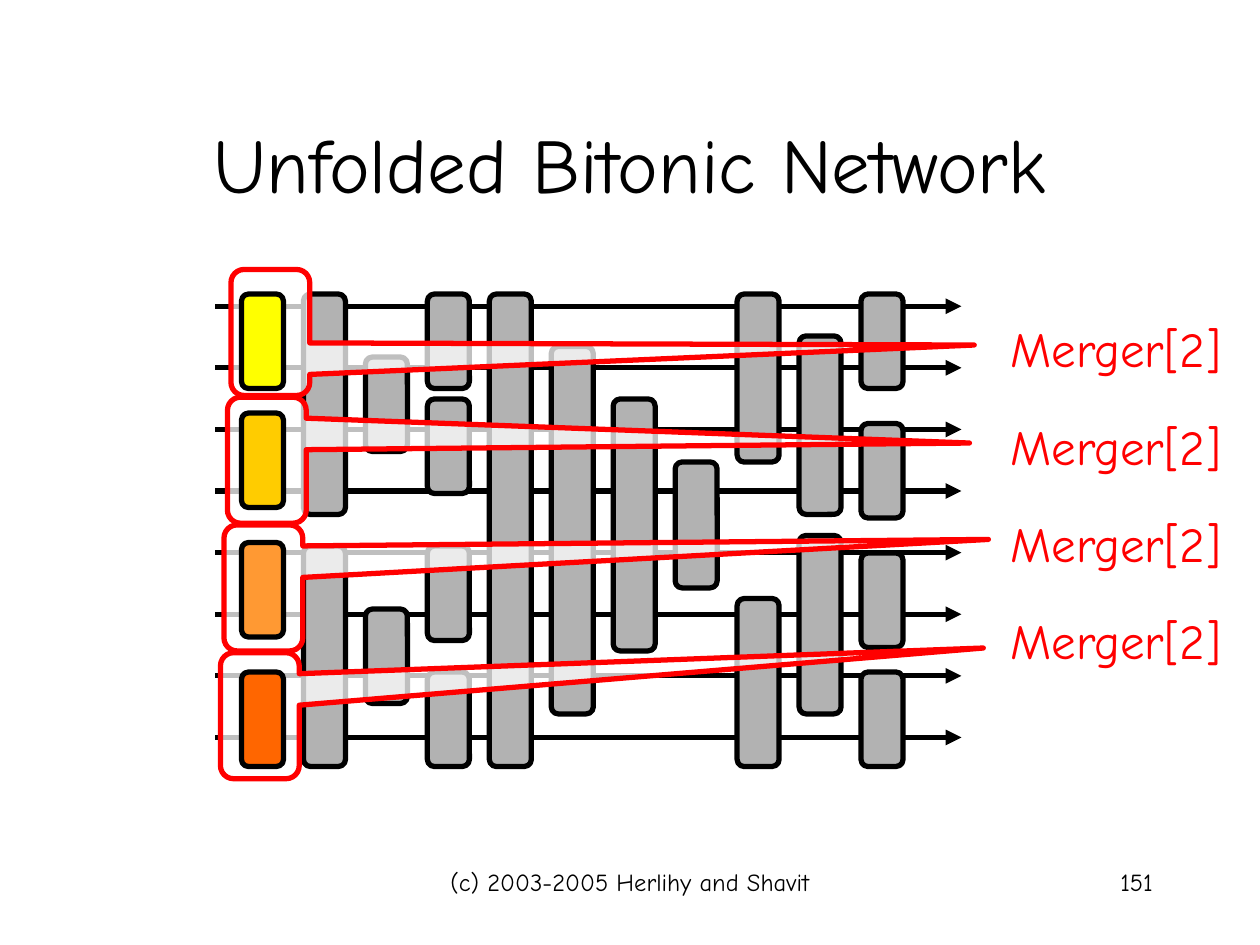
from dataclasses import dataclass

from lxml.etree import SubElement
from pptx import Presentation
from pptx.dml.color import RGBColor
from pptx.enum.shapes import MSO_CONNECTOR as Connector, MSO_SHAPE as Shape
from pptx.enum.text import MSO_ANCHOR as Anchor, MSO_AUTO_SIZE as AutoSize, PP_ALIGN as Align
from pptx.oxml.ns import qn
from pptx.util import Pt


@dataclass(frozen=True)
class Theme:
    """Colours and type sizes of the deck."""
    font: str = "Comic Neue"
    ink: str = "000000"
    paper: str = "FFFFFF"
    balancer: str = "B2B2B2"
    accent: str = "FF0000"
    mergers: tuple = ("FFFF00", "FFCC00", "FF9933", "FF6600")
    title: int = 44
    label: int = 28
    footer: int = 14
    stroke: int = 3


@dataclass(frozen=True)
class Box:
    """A region of the slide in points."""
    left: float
    top: float
    width: float
    height: float

    def inner(self, x, y, width, height):
        """Return a box placed relative to this one."""
        return Box(self.left + x, self.top + y, width, height)

    def emu(self):
        """Return left, top, width and height as lengths."""
        return [Pt(v) for v in (self.left, self.top, self.width, self.height)]


THEME = Theme()
COLUMN_LEFT, COLUMN_STEP = 15, 35.4
BALANCER_WIDTH, MERGER_HEIGHT = 24, 54
WIRE_TOP, WIRE_STEP, WIRE_COUNT = 7, 35.2, 8
CORNER = 1 / 6

BALANCER_COLUMNS = [
    [(0, 126), (144, 126)],
    [(36, 54), (180, 54)],
    [(0, 54), (60, 54), (144, 54), (216, 54)],
    [(0, 270)],
    [(30, 210)],
    [(60, 144)],
    [(96, 72)],
    [(0, 96), (174, 96)],
    [(24, 102), (138, 102)],
    [(0, 54), (74, 54), (148, 54), (216, 54)],
]
MERGER_TOPS = [0, 68, 142, 216]
CALLOUT_TIPS = [(433.6, 29.2), (430.9, 85.2), (441.7, 140.3), (438.8, 202.3)]


def rgb(colour):
    """Turn a hex string into a colour."""
    return RGBColor.from_string(colour)


def add_text(slide, box, text, size, colour, align, anchor=Anchor.TOP, wrap=True):
    """Place one line of text in a box."""
    frame = slide.shapes.add_textbox(*box.emu()).text_frame
    frame.text = text
    frame.word_wrap = wrap
    frame.auto_size = AutoSize.NONE if wrap else AutoSize.SHAPE_TO_FIT_TEXT
    frame.vertical_anchor = anchor
    line = frame.paragraphs[0]
    line.alignment = align
    font = line.runs[0].font
    font.name, font.size = THEME.font, Pt(size)
    font.color.rgb = rgb(colour)


def add_outlined(slide, preset, box, fill, stroke):
    """Place a filled preset shape with a heavy outline."""
    shape = slide.shapes.add_shape(preset, *box.emu())
    shape.shadow.inherit = False
    shape.fill.solid()
    shape.fill.fore_color.rgb = rgb(fill)
    shape.line.color.rgb = rgb(stroke)
    shape.line.width = Pt(THEME.stroke)
    return shape


def add_balancer(slide, network, column, top, height, fill):
    """Place a balancer in a column of the network."""
    box = network.inner(COLUMN_LEFT + column * COLUMN_STEP, top, BALANCER_WIDTH, height)
    balancer = add_outlined(slide, Shape.ROUNDED_RECTANGLE, box, fill, THEME.ink)
    balancer.adjustments[0] = CORNER


def add_wire(slide, network, y):
    """Draw a wire with an arrowhead across the network."""
    ends = (network.left, network.top + y, network.left + network.width, network.top + y)
    wire = slide.shapes.add_connector(Connector.STRAIGHT, *[Pt(v) for v in ends])
    wire.line.color.rgb = rgb(THEME.ink)
    wire.line.width = Pt(THEME.stroke)
    outline = wire._element.spPr.find(qn("a:ln"))
    SubElement(outline, qn("a:tailEnd"), type="triangle")
    SubElement(wire._element.spPr, qn("a:effectLst"))


def add_callout(slide, box, tip_x, tip_y):
    """Place a translucent callout whose tip is at the given slide point."""
    callout = add_outlined(slide, Shape.ROUNDED_RECTANGULAR_CALLOUT, box, THEME.paper, THEME.accent)
    callout.adjustments[0] = (tip_x - box.left) / box.width - 0.5
    callout.adjustments[1] = (tip_y - box.top) / box.height - 0.5
    callout.adjustments[2] = CORNER
    colour = callout._element.spPr.find(qn("a:solidFill"))[0]
    SubElement(colour, qn("a:alpha"), val="75000")


def add_network(slide, network):
    """Draw wires, balancers, callouts and the highlighted mergers."""
    for wire in range(WIRE_COUNT):
        add_wire(slide, network, WIRE_TOP + wire * WIRE_STEP)
    for column, balancers in enumerate(BALANCER_COLUMNS, start=1):
        for top, height in balancers:
            add_balancer(slide, network, column, top, height, THEME.balancer)
    for row, (x, y) in reversed(list(enumerate(CALLOUT_TIPS))):
        box = network.inner(9 - 2 * row, 73 * row - 14, 45, 72)
        add_callout(slide, box, network.left + x, network.top + y)
    for top, fill in zip(MERGER_TOPS, THEME.mergers):
        add_balancer(slide, network, 0, top, MERGER_HEIGHT, fill)


def add_labels(slide, box):
    """Spread one label for each merger evenly down the box."""
    height = 41
    step = (box.height - height) / (len(MERGER_TOPS) - 1)
    for row in range(len(MERGER_TOPS)):
        add_text(slide, box.inner(0, row * step, box.width, height), "Merger[2]",
                 THEME.label, THEME.accent, Align.CENTER, wrap=False)


def add_title(slide, box):
    """Place the slide title."""
    add_text(slide, box, "Unfolded Bitonic Network", THEME.title, THEME.ink,
             Align.CENTER, Anchor.MIDDLE)


def add_footer(slide, box):
    """Place the copyright line and the page number."""
    add_text(slide, box.inner(192, 0, 228, box.height), "(c) 2003-2005 Herlihy and Shavit",
             THEME.footer, THEME.ink, Align.CENTER)
    add_text(slide, box.inner(box.width - 150, 0, 150, box.height), "151",
             THEME.footer, THEME.ink, Align.RIGHT)


def main():
    """Build the slide and save it."""
    deck = Presentation()
    deck.slide_width, deck.slide_height = Pt(720), Pt(540)
    slide = deck.slides.add_slide(deck.slide_layouts[6])
    add_title(slide, Box(54, 48, 612, 90))
    add_network(slide, Box(123, 168, 426.4, 270))
    add_labels(slide, Box(570, 178.6, 135.4, 208))
    add_footer(slide, Box(54, 492, 612, 36))
    deck.save("out.pptx")


if __name__ == "__main__":
    main()
